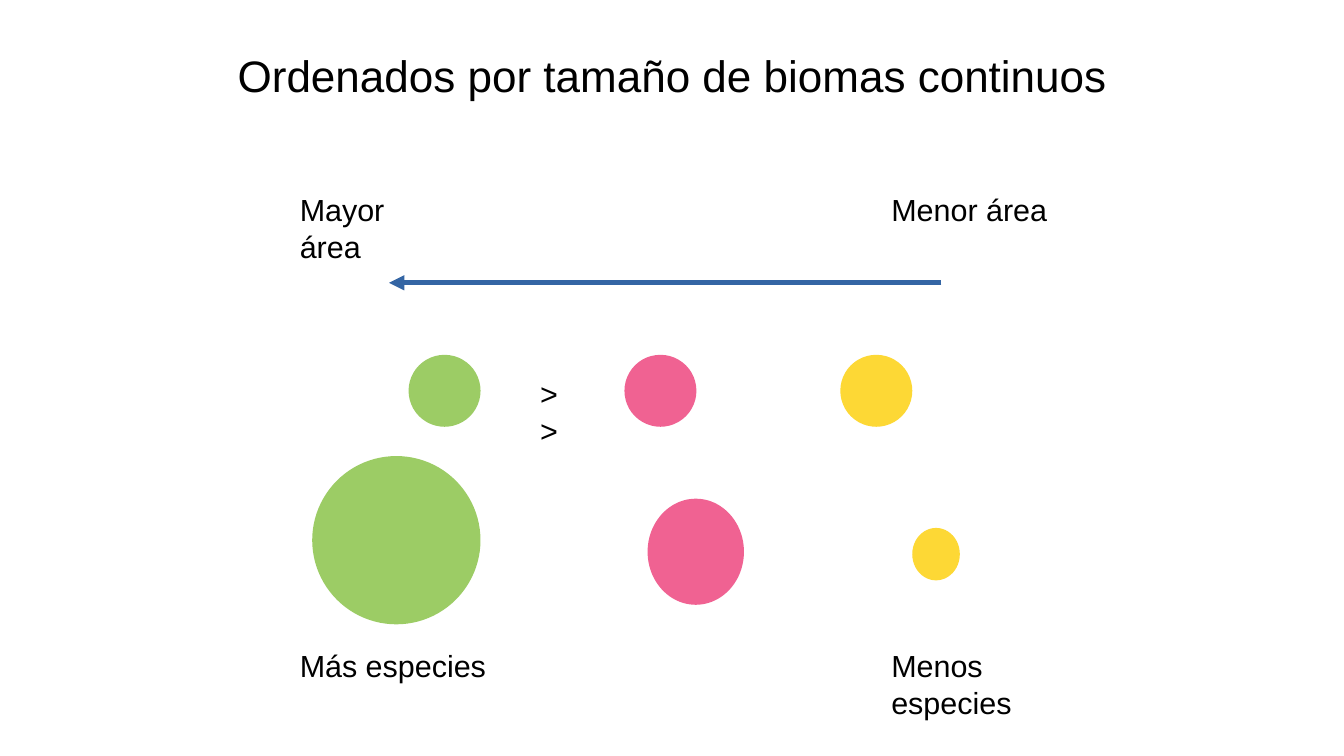
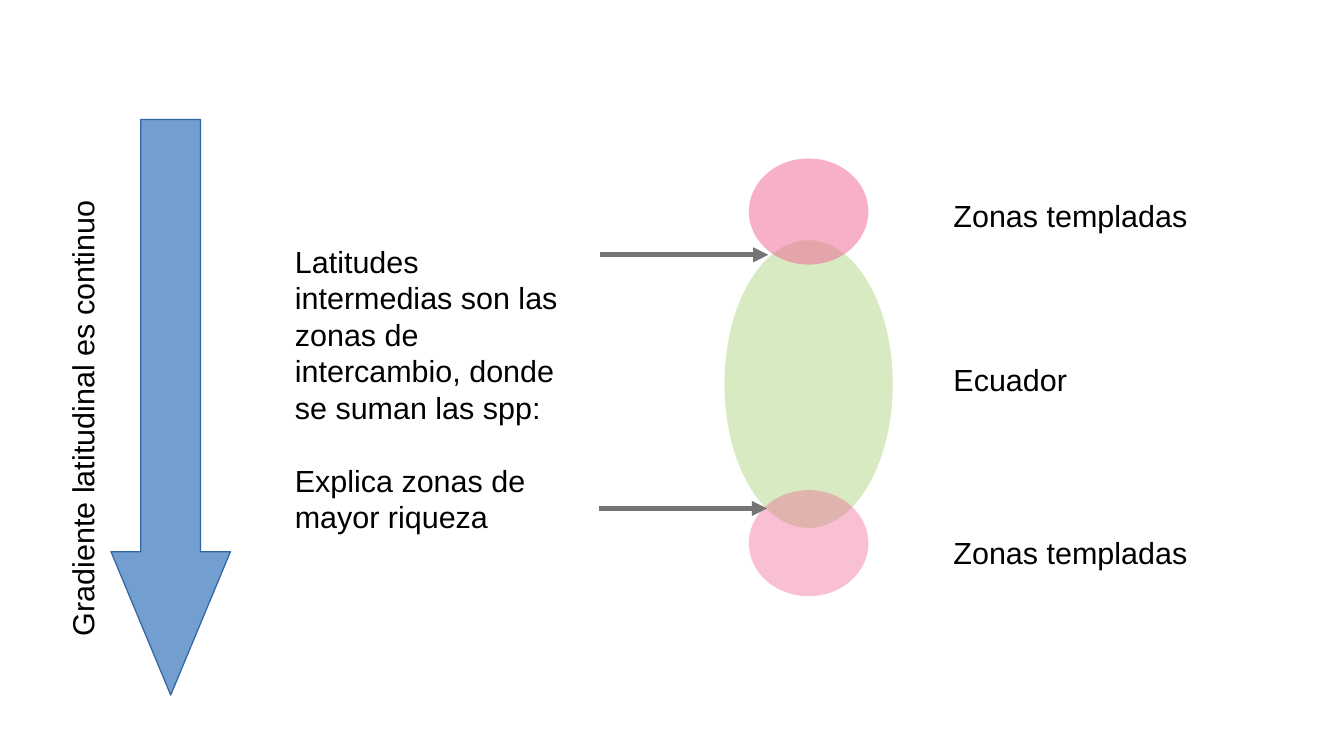
from dataclasses import dataclass

from lxml.etree import SubElement
from pptx import Presentation
from pptx.dml.color import RGBColor
from pptx.enum.shapes import MSO_CONNECTOR as Connector, MSO_SHAPE as Preset
from pptx.enum.text import MSO_ANCHOR as Anchor, PP_ALIGN as Align
from pptx.oxml.ns import qn
from pptx.slide import Slide
from pptx.util import Emu, Pt

EMU_PER_PX = 9144
SLIDE_WIDTH, SLIDE_HEIGHT = 1102, 620
FONT = "Arial"
BODY_SIZE, TITLE_SIZE = 18, 26
BLANK_LINE = 21.5
LABEL_HEIGHT = 38
COLORS = {
    "text": "000000",
    "green": "9CCC65",
    "pink": "F06292",
    "yellow": "FDD835",
    "blue": "729FCF",
    "dark_blue": "3465A4",
    "gray": "757575",
}


@dataclass(frozen=True)
class Box:
    left: int
    top: int
    width: int
    height: int


@dataclass(frozen=True)
class Biome:
    box: Box
    color: str
    opacity: int = 100


@dataclass(frozen=True)
class Label:
    text: str
    box: Box


def px(length: int) -> Emu:
    return Emu(length * EMU_PER_PX)


def place(box: Box) -> tuple[Emu, Emu, Emu, Emu]:
    return px(box.left), px(box.top), px(box.width), px(box.height)


def color(name: str) -> RGBColor:
    return RGBColor.from_string(COLORS[name])


def add_text(slide: Slide, text: str, box: Box, *, size: int = BODY_SIZE,
             wrap: bool = False, rotation: int = 0, gap: float = 0) -> None:
    shape = slide.shapes.add_textbox(*place(box))
    shape.rotation = rotation
    frame = shape.text_frame
    frame.word_wrap = wrap
    frame.vertical_anchor = Anchor.TOP
    frame.text = text
    for index, paragraph in enumerate(frame.paragraphs):
        paragraph.alignment = Align.LEFT
        if index and gap:
            paragraph.space_before = Pt(gap)
        font = paragraph.font
        font.name = FONT
        font.size = Pt(size)
        font.color.rgb = color("text")


def add_biome(slide: Slide, biome: Biome) -> None:
    shape = slide.shapes.add_shape(Preset.OVAL, *place(biome.box))
    shape.shadow.inherit = False
    shape.line.fill.background()
    shape.fill.solid()
    shape.fill.fore_color.rgb = color(biome.color)
    if biome.opacity < 100:
        fill_color = shape.fill._xPr.find(qn("a:solidFill"))[0]
        SubElement(fill_color, qn("a:alpha"), val=str(biome.opacity * 1000))


def add_arrow(slide: Slide, start: int, end: int, y: int, color_name: str) -> None:
    connector = slide.shapes.add_connector(
        Connector.STRAIGHT, px(start), px(y), px(end), px(y))
    connector.line.color.rgb = color(color_name)
    connector.line.width = Pt(3)
    SubElement(connector.line._get_or_add_ln(), qn("a:tailEnd"), type="triangle")
    SubElement(connector._element.spPr, qn("a:effectLst"))


def add_down_arrow(slide: Slide, box: Box) -> None:
    shape = slide.shapes.add_shape(Preset.DOWN_ARROW, *place(box))
    shape.shadow.inherit = False
    shape.adjustments[0] = 0.5
    shape.adjustments[1] = 1.2
    shape.fill.solid()
    shape.fill.fore_color.rgb = color("blue")
    shape.line.color.rgb = color("dark_blue")
    shape.line.width = Pt(0)


def build_area_slide(slide: Slide) -> None:
    for index, name in enumerate(("green", "pink", "yellow")):
        add_biome(slide, Biome(Box(335 + 177 * index, 291, 59, 59), name))
    add_arrow(slide, 772, 319, 232, "dark_blue")
    add_text(slide, "Ordenados por tamaño de biomas continuos",
             Box(185, 35, 735, 50), size=TITLE_SIZE)
    left, right, top, bottom = 236, 721, 152, 526
    for label in (
        Label("Mayor área", Box(left, top, 146, LABEL_HEIGHT)),
        Label("Menor área", Box(right, top, 148, LABEL_HEIGHT)),
        Label("Más especies", Box(left, bottom, 173, LABEL_HEIGHT)),
        Label("Menos especies", Box(right, bottom, 200, LABEL_HEIGHT)),
    ):
        add_text(slide, label.text, label.box)
    add_text(slide, ">\n>", Box(433, 303, 60, 68), wrap=True)
    for biome in (
        Biome(Box(256, 374, 138, 138), "green"),
        Biome(Box(531, 409, 79, 87), "pink"),
        Biome(Box(748, 433, 39, 43), "yellow"),
    ):
        add_biome(slide, biome)


def build_latitude_slide(slide: Slide) -> None:
    for biome in (
        Biome(Box(594, 197, 138, 236), "green", 40),
        Biome(Box(614, 130, 98, 87), "pink", 50),
        Biome(Box(614, 402, 98, 87), "pink", 40),
    ):
        add_biome(slide, biome)
    for text, top in (("Zonas templadas", 157), ("Ecuador", 291),
                      ("Zonas templadas", 433)):
        add_text(slide, text, Box(772, top, 256, LABEL_HEIGHT), wrap=True)
    add_down_arrow(slide, Box(91, 98, 98, 472))
    add_text(slide, "Gradiente latitudinal es continuo",
             Box(-132, 258, 453, 94), wrap=True, rotation=270)
    for start, y in ((492, 209), (491, 417)):
        add_arrow(slide, start, start + 138, y, "gray")
    add_text(slide,
             "Latitudes intermedias son las zonas de intercambio, "
             "donde se suman las spp:\nExplica zonas de mayor riqueza",
             Box(232, 194, 256, 234), wrap=True, gap=BLANK_LINE)


def main() -> None:
    presentation = Presentation()
    presentation.slide_width = px(SLIDE_WIDTH)
    presentation.slide_height = px(SLIDE_HEIGHT)
    blank = presentation.slide_layouts[6]
    for build in (build_area_slide, build_latitude_slide):
        build(presentation.slides.add_slide(blank))
    presentation.save("out.pptx")


if __name__ == "__main__":
    main()
